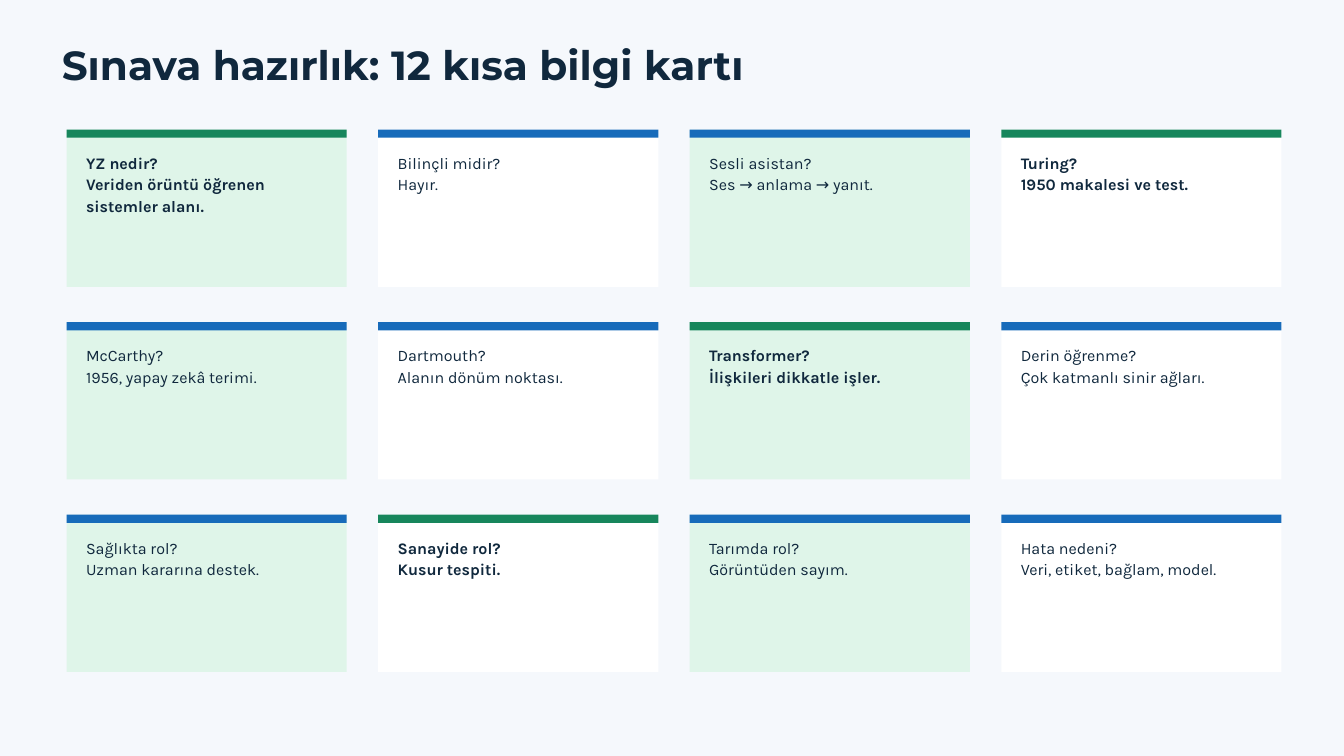
import dataclasses

import pptx
import pptx.dml.color
import pptx.enum.shapes
import pptx.enum.text
import pptx.util


@dataclasses.dataclass(frozen=True)
class Theme:
    ground: str = "F5F8FC"
    ink: str = "10283D"
    green: str = "17865C"
    blue: str = "176BBA"
    mint: str = "DFF5E9"
    white: str = "FFFFFF"
    title_font: str = "Montserrat"
    body_font: str = "Karla"
    title_size: float = 43.5
    title_line: float = 45.7
    body_size: float = 17.2
    body_line: float = 23.3


theme = Theme()
inch = pptx.util.Inches
rgb = pptx.dml.color.RGBColor.from_string


def write(s, lines, *, font, size, spacing, bold=False):
    tf = s.text_frame
    tf.word_wrap = True
    tf.auto_size = pptx.enum.text.MSO_AUTO_SIZE.SHAPE_TO_FIT_TEXT
    tf.vertical_anchor = pptx.enum.text.MSO_ANCHOR.TOP
    tf.margin_left = tf.margin_top = tf.margin_right = tf.margin_bottom = 0
    for i, line in enumerate(lines):
        p = tf.paragraphs[0] if i == 0 else tf.add_paragraph()
        p.alignment = pptx.enum.text.PP_ALIGN.LEFT
        p.line_spacing = pptx.util.Pt(spacing)
        p.space_before = pptx.util.Pt(0)
        r = p.add_run()
        r.text = line
        r.font.name = font
        r.font.size = pptx.util.Pt(size)
        r.font.bold = bold
        r.font.color.rgb = rgb(theme.ink)


def block(shapes, x, y, w, h, color):
    """Add a plain filled rectangle without outline or shadow."""
    s = shapes.add_shape(pptx.enum.shapes.MSO_SHAPE.RECTANGLE,
                         inch(x), inch(y), inch(w), inch(h))
    s.shadow.inherit = False
    s.fill.solid()
    s.fill.fore_color.rgb = rgb(color)
    s.line.fill.background()


prs = pptx.Presentation()
prs.slide_width, prs.slide_height = inch(20), inch(11.25)
slide = prs.slides.add_slide(prs.slide_layouts.get_by_name("Title Only"))
slide.background.fill.solid()
slide.background.fill.fore_color.rgb = rgb(theme.ground)

title = slide.shapes.title
title.left, title.top = inch(0.92), inch(0.68)
title.width, title.height = inch(15.62), inch(0.64)
write(title, ["Sınava hazırlık: 12 kısa bilgi kartı"], font=theme.title_font,
      size=theme.title_size, spacing=theme.title_line, bold=True)

# Question, answer, highlighted
cards = [
    ("YZ nedir?", "Veriden örüntü öğrenen sistemler alanı.", True),
    ("Bilinçli midir?", "Hayır.", False),
    ("Sesli asistan?", "Ses → anlama → yanıt.", False),
    ("Turing?", "1950 makalesi ve test.", True),
    ("McCarthy?", "1956, yapay zekâ terimi.", False),
    ("Dartmouth?", "Alanın dönüm noktası.", False),
    ("Transformer?", "İlişkileri dikkatle işler.", True),
    ("Derin öğrenme?", "Çok katmanlı sinir ağları.", False),
    ("Sağlıkta rol?", "Uzman kararına destek.", False),
    ("Sanayide rol?", "Kusur tespiti.", True),
    ("Tarımda rol?", "Görüntüden sayım.", False),
    ("Hata nedeni?", "Veri, etiket, bağlam, model.", False),
]

# Card grid: outer edges and card size fix the column and row steps
COLS, ROWS = 4, 3
LEFT, TOP, RIGHT, BOTTOM = 0.99, 1.93, 19.07, 10
CARD_W, CARD_H, BAR_H = 4.17, 2.34, 0.12
PAD_X, PAD_Y, TEXT_W = 0.29, 0.31, 3.65
step_x = (RIGHT - LEFT - CARD_W) / (COLS - 1)
step_y = (BOTTOM - TOP - CARD_H) / (ROWS - 1)

for i, (question, answer, highlighted) in enumerate(cards):
    row, col = divmod(i, COLS)
    x, y = LEFT + col * step_x, TOP + row * step_y
    card = slide.shapes.add_group_shape().shapes
    block(card, x, y, CARD_W, CARD_H, theme.white if col % 2 else theme.mint)
    block(card, x, y, CARD_W, BAR_H, theme.green if highlighted else theme.blue)
    text_h = 0.96 if len(answer) > 30 else 0.63
    box = card.add_textbox(inch(x + PAD_X), inch(y + PAD_Y), inch(TEXT_W), inch(text_h))
    write(box, [question, answer], font=theme.body_font, size=theme.body_size,
          spacing=theme.body_line, bold=highlighted)

prs.save("out.pptx")
